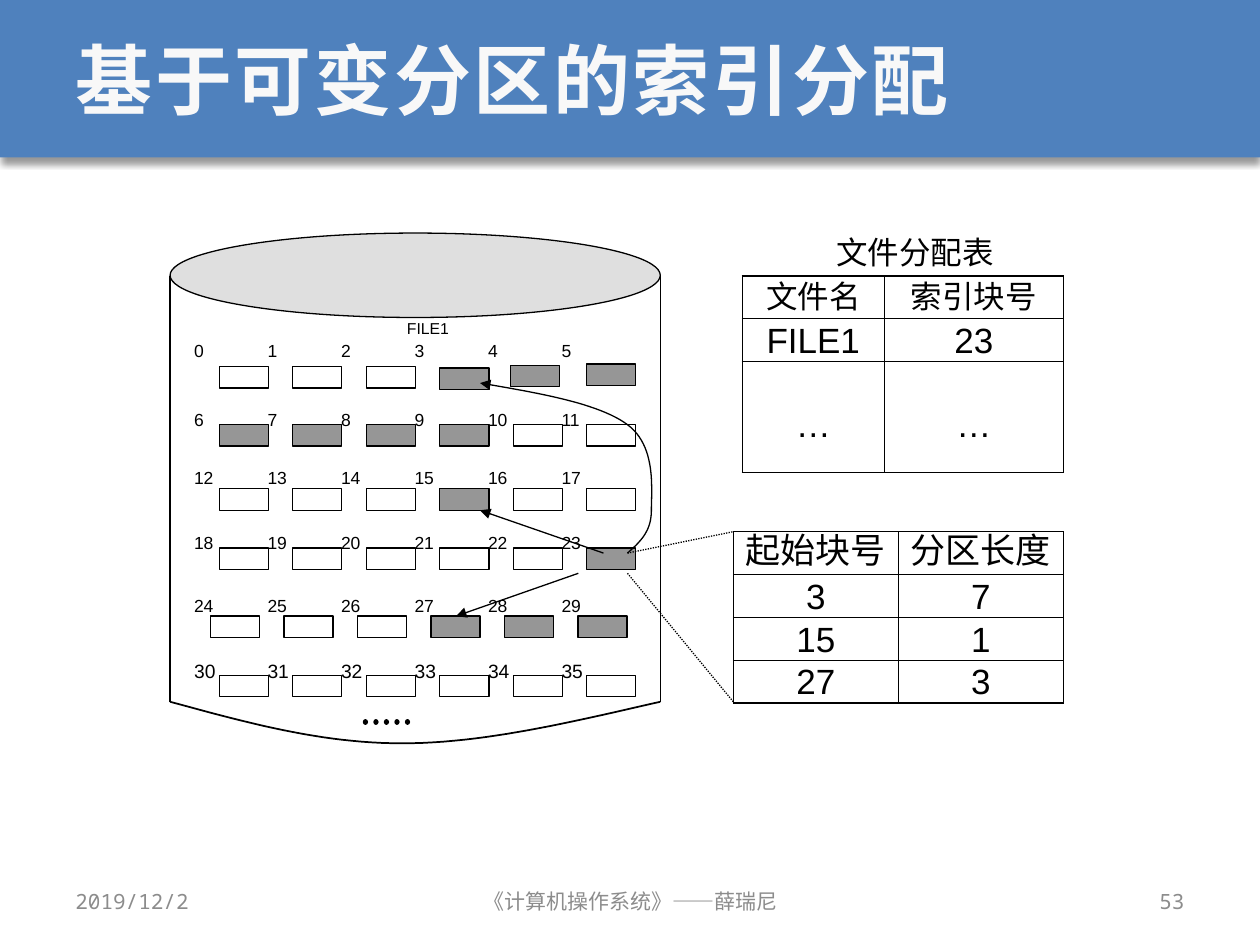
from dataclasses import dataclass

from lxml.etree import SubElement
from pptx import Presentation
from pptx.dml.color import RGBColor
from pptx.enum.dml import MSO_LINE
from pptx.enum.shapes import MSO_CONNECTOR, MSO_SHAPE
from pptx.enum.text import MSO_ANCHOR, MSO_AUTO_SIZE, PP_ALIGN
from pptx.oxml import parse_xml
from pptx.oxml.ns import nsdecls, qn
from pptx.util import Inches, Pt

COLORS = {"band": "4F81BD", "title": "F8F8F8", "ink": "000000",
          "used": "969696", "lid": "C0C0C0", "footer": "8C8C8C"}
COLS = 6
STEP = 3.5 / COLS
INDEX_BLOCK = 23
EXTENTS = [(3, 7), (15, 1), (27, 3)]
USED = {INDEX_BLOCK} | {start + i for start, size in EXTENTS for i in range(size)}
NUDGES = {3: (0, 0.01), 4: (-0.02, -0.01), 5: (0, -0.02)}


@dataclass
class BlockRow:
    label_y: float
    box_y: float
    box_x: float = 1.74
    size: int = 10


@dataclass
class Link:
    start: tuple[float, float]
    end: tuple[float, float]
    arrow: bool = False
    dotted: bool = False
    width: float = 0.75


@dataclass
class Grid:
    x: float
    y: float
    widths: list[float]
    heights: list[float]
    rows: list[tuple]
    head_size: int = 20


BLOCK_ROWS = [BlockRow(2.7, 2.91), BlockRow(3.25, 3.37), BlockRow(3.71, 3.88),
              BlockRow(4.22, 4.35), BlockRow(4.72, 4.89, box_x=1.67),
              BlockRow(5.23, 5.36, size=11)]
LINKS = [Link((1.35, 2.19), (1.35, 5.57)), Link((5.24, 2.19), (5.24, 5.57)),
         Link((2.9, 5.73), (3.29, 5.73), dotted=True, width=3),
         Link((4.59, 4.55), (3.62, 4.89), arrow=True),
         Link((4.79, 4.39), (3.81, 4.05), arrow=True),
         Link((4.98, 4.39), (5.82, 4.22), dotted=True),
         Link((4.98, 4.55), (5.82, 5.57), dotted=True)]
GRIDS = [Grid(5.89, 2.19, [1.13, 1.42], [0.34, 0.34, 0.88],
              [("文件名", "索引块号"), ("FILE1", INDEX_BLOCK), ("…", "…")], 18),
         Grid(5.82, 4.22, [1.31, 1.31], [0.34] * 4,
              [("起始块号", "分区长度"), *EXTENTS])]


def rgb(name: str) -> RGBColor:
    return RGBColor.from_string(COLORS[name])


def add_run(p, text: str, size: float, color: str = "ink", font: str = "Arial"):
    r = p.add_run()
    r.text = text
    r.font.size, r.font.name = Pt(size), font
    r.font.color.rgb = rgb(color)
    return r


def add_text(s, text: str, x: float, y: float, w: float, h: float, size: float,
             align=PP_ALIGN.JUSTIFY):
    tf = s.shapes.add_textbox(Inches(x), Inches(y), Inches(w), Inches(h)).text_frame
    tf.word_wrap = True
    tf.margin_left = tf.margin_right = tf.margin_top = tf.margin_bottom = 0
    tf.paragraphs[0].alignment = align
    add_run(tf.paragraphs[0], text, size)


def add_footer(s, text: str, x: float, w: float, align) -> None:
    tf = s.shapes.add_textbox(Inches(x), Inches(6.95), Inches(w), Inches(0.4)).text_frame
    tf.word_wrap = True
    tf.vertical_anchor = MSO_ANCHOR.MIDDLE
    tf.paragraphs[0].alignment = align
    add_run(tf.paragraphs[0], text, 12, "footer", "Noto Sans Mono")


def add_box(s, kind, x: float, y: float, w: float, h: float, fill: str | None):
    sp = s.shapes.add_shape(kind, Inches(x), Inches(y), Inches(w), Inches(h))
    sp.shadow.inherit = False
    if fill:
        sp.fill.solid()
        sp.fill.fore_color.rgb = rgb(fill)
    else:
        sp.fill.background()
    sp.line.color.rgb = rgb("ink")
    sp.line.width = Pt(0.75)
    return sp


def add_arrowhead(line) -> None:
    SubElement(line._get_or_add_ln(), qn("a:tailEnd"), type="triangle")


def add_link(s, link: Link) -> None:
    points = [Inches(v) for v in (*link.start, *link.end)]
    cx = s.shapes.add_connector(MSO_CONNECTOR.STRAIGHT, *points)
    SubElement(cx._element.spPr, qn("a:effectLst"))
    cx.line.color.rgb = rgb("ink")
    cx.line.width = Pt(link.width)
    if link.dotted:
        cx.line.dash_style = MSO_LINE.ROUND_DOT
        if link.width > 1:
            cx.line._get_or_add_ln().set("cap", "rnd")
    if link.arrow:
        add_arrowhead(cx.line)


def add_curve(s, points: list[tuple], width: float, arrow: bool = False) -> None:
    """Draw joined cubic curves: a start point, then three points for each."""
    vertices = []
    for i in range(0, len(points) - 1, 3):
        for t in (k / 24 for k in range(1, 25)):
            weights = ((1 - t) ** 3, 3 * t * (1 - t) ** 2, 3 * t * t * (1 - t), t ** 3)
            vertices.append(tuple(
                Inches(sum(w * pt[axis] for w, pt in zip(weights, points[i:i + 4])))
                for axis in (0, 1)))
    fb = s.shapes.build_freeform(*map(Inches, points[0]))
    fb.add_line_segments(vertices, close=False)
    sp = fb.convert_to_shape()
    sp.shadow.inherit = False
    sp.fill.background()
    sp.line.color.rgb = rgb("ink")
    sp.line.width = Pt(width)
    if arrow:
        add_arrowhead(sp.line)


def add_grid(s, g: Grid) -> None:
    table = s.shapes.add_table(len(g.rows), len(g.widths), Inches(g.x), Inches(g.y),
                               Inches(sum(g.widths)), Inches(sum(g.heights))).table
    table.first_row = table.horz_banding = False
    for col, w in zip(table.columns, g.widths):
        col.width = Inches(w)
    for i, (h, values) in enumerate(zip(g.heights, g.rows)):
        table.rows[i].height = Inches(h)
        for j, value in enumerate(values):
            cell = table.cell(i, j)
            cell.margin_left = cell.margin_right = cell.margin_bottom = 0
            cell.margin_top = Inches(0.33 if value == "…" else 0)
            for side in ("lnL", "lnR", "lnT", "lnB"):
                cell._tc.get_or_add_tcPr().append(parse_xml(
                    f'<a:{side} {nsdecls("a")} w="9525"><a:solidFill>'
                    f'<a:srgbClr val="{COLORS["ink"]}"/></a:solidFill></a:{side}>'))
            cell.fill.background()
            p = cell.text_frame.paragraphs[0]
            p.alignment, p.line_spacing = PP_ALIGN.CENTER, Pt(24)
            add_run(p, str(value), 20 if i else g.head_size)


prs = Presentation()
prs.slide_width, prs.slide_height = Inches(10), Inches(7.5)
s = prs.slides.add_slide(prs.slide_layouts[5])

# Title on a shadowed band
band = add_box(s, MSO_SHAPE.RECTANGLE, 0, 0, 10, 1.25, "band")
band.line.fill.background()
band._element.spPr.find(qn("a:effectLst")).append(parse_xml(
    f'<a:outerShdw {nsdecls("a")} blurRad="50800" dist="38100" dir="5400000">'
    '<a:srgbClr val="000000"><a:alpha val="40000"/></a:srgbClr></a:outerShdw>'))
s.shapes._spTree.insert(2, band._element)
title = s.shapes.title
title.left, title.top, title.width, title.height = map(Inches, (0.5, 0, 9, 1.25))
tf = title.text_frame
tf.auto_size, tf.vertical_anchor = MSO_AUTO_SIZE.NONE, MSO_ANCHOR.MIDDLE
tf.paragraphs[0].alignment = PP_ALIGN.LEFT
r = add_run(tf.paragraphs[0], "基于可变分区的索引分配", 44, "title", "Noto Sans CJK SC")
r.font.bold = True
rPr = r.font._element
rPr.set("spc", "150")
SubElement(rPr, qn("a:ea"), typeface="Noto Sans CJK SC")

# Disk lid and bottom edge
lid = add_box(s, MSO_SHAPE.OVAL, 1.35, 1.85, 3.89, 0.67, "lid")
SubElement(lid._element.spPr.find(qn("a:solidFill"))[0], qn("a:alpha"), val="50000")
add_curve(s, [(1.35, 5.57), (1.94, 5.73), (2.54, 5.9), (3.19, 5.9),
              (3.84, 5.9), (4.54, 5.73), (5.24, 5.57)], 1)

# Numbered disk blocks
add_text(s, "FILE1", 3.23, 2.53, 0.78, 0.33, 9)
for i, row in enumerate(BLOCK_ROWS):
    for j in range(COLS):
        block = i * COLS + j
        dx, dy = NUDGES.get(block, (0, 0))
        add_text(s, str(block), 1.54 + j * STEP, row.label_y, 0.39, 0.33, row.size)
        add_box(s, MSO_SHAPE.RECTANGLE, row.box_x + j * STEP + dx, row.box_y + dy,
                0.39, 0.17, "used" if block in USED else None)

# Disk sides, pointers from the index block and callout lines
add_curve(s, [(4.98, 4.39), (5.08, 4.3), (5.17, 4.22), (5.17, 4.05), (5.17, 3.88),
              (5.21, 3.54), (4.98, 3.37), (4.75, 3.2), (4.28, 3.12), (3.81, 3.04)],
          0.75, arrow=True)
for link in LINKS:
    add_link(s, link)

# File allocation table and index block contents
add_text(s, "文件分配表", 5.89, 1.85, 2.74, 0.34, 18, PP_ALIGN.CENTER)
for grid in GRIDS:
    add_grid(s, grid)

# Footer
add_footer(s, "2019/12/2", 0.5, 2.33, PP_ALIGN.LEFT)
add_footer(s, "《计算机操作系统》——薛瑞尼", 3.42, 3.17, PP_ALIGN.CENTER)
add_footer(s, "53", 7.17, 2.33, PP_ALIGN.RIGHT)

prs.save("out.pptx")
